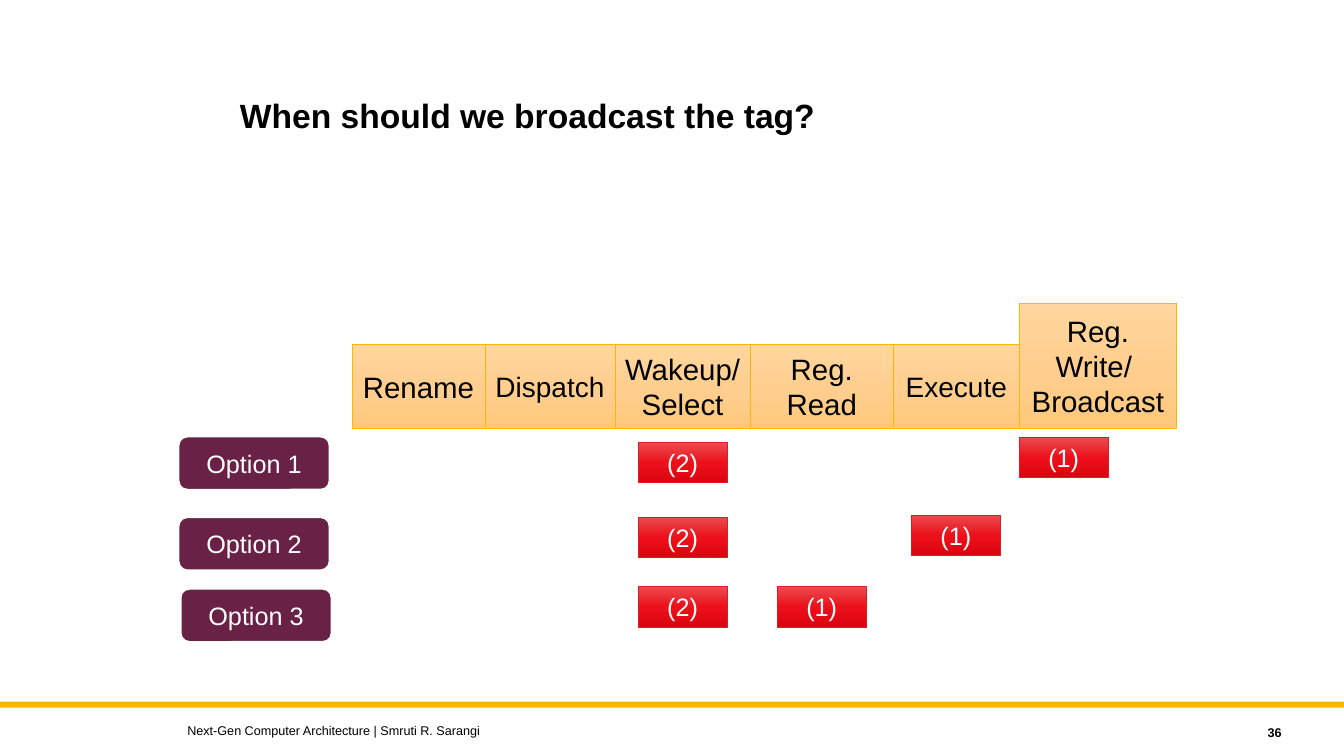
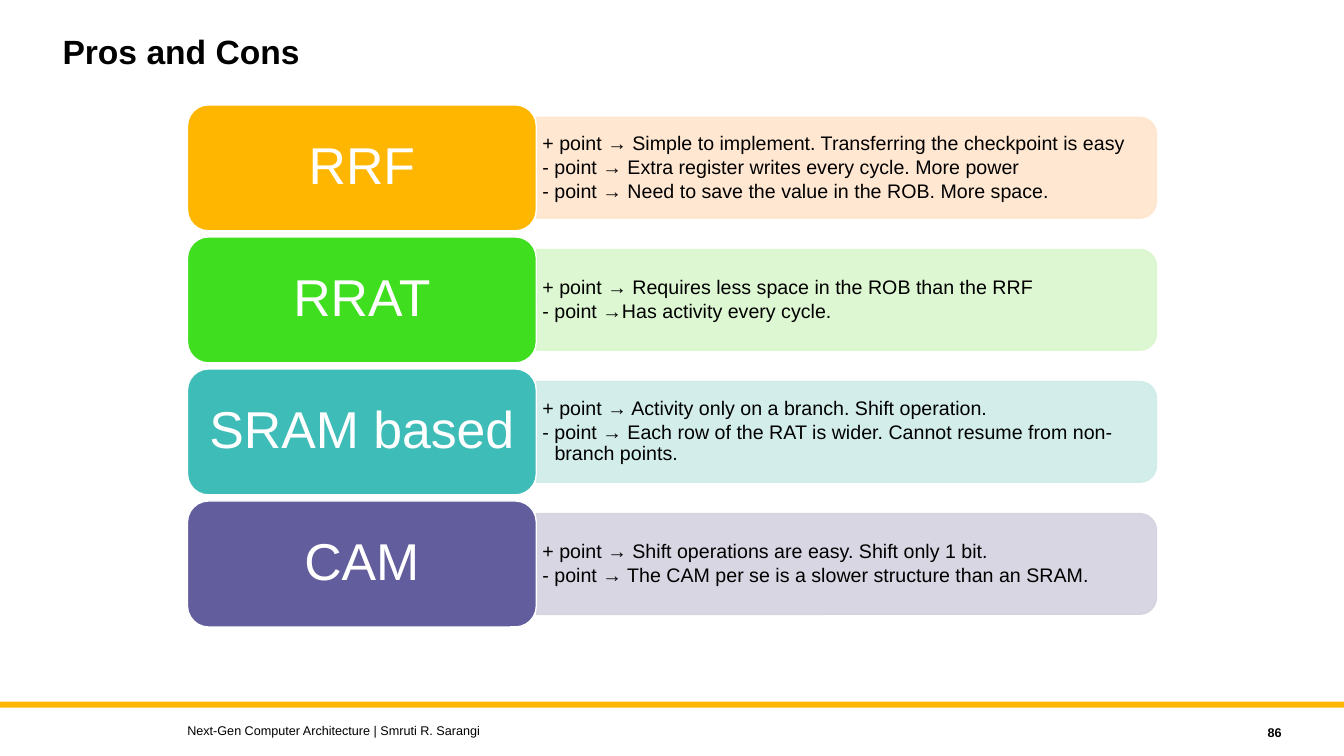
from copy import deepcopy
from dataclasses import dataclass

from lxml.etree import SubElement
from pptx import Presentation
from pptx.dml.color import RGBColor
from pptx.enum.shapes import MSO_SHAPE
from pptx.enum.text import MSO_ANCHOR, MSO_AUTO_SIZE, PP_ALIGN
from pptx.oxml.ns import qn
from pptx.util import Inches, Pt


@dataclass(frozen=True)
class Theme:
    """Colours, font and type sizes shared by the slides."""

    font: str = "Arial"
    dark: str = "000000"
    light: str = "FFFFFF"
    accent: str = "FFB600"
    option: str = "692146"
    tag_line: str = "E21A23"
    stage_gradient: tuple = ("FFD69E", "FFCF90", "FFC97C")
    tag_gradient: tuple = ("E94D50", "EC101A", "DB050F")
    title_size: float = 24
    label_size: float = 37
    tag_size: float = 18
    point_size: float = 14
    footer_size: float = 9
    line_spacing: float = 0.9


THEME = Theme()
SLIDE_WIDTH, SLIDE_HEIGHT = 13.33, 7.5
FOOTER = "Next-Gen Computer Architecture | Smruti R. Sarangi"

STAGES_LEFT, STAGES_BOTTOM = 3.49, 4.25
STAGES = [
    (["Rename"], 1.32, 0.83, 21),
    (["Dispatch"], 1.29, 0.83, 20),
    (["Wakeup/Select"], 1.34, 0.83, 21),
    (["Reg. Read"], 1.42, 0.83, 21),
    (["Execute"], 1.25, 0.83, 20),
    (["Reg. Write/ ", "Broadcast"], 1.56, 1.24, 21),
]
OPTIONS = [
    ("Option 1", (1.77, 4.33), (6.33, 4.39), (10.11, 4.34)),
    ("Option 2", (1.77, 5.13), (6.33, 5.13), (9.04, 5.11)),
    ("Option 3", (1.79, 5.84), (6.33, 5.82), (7.71, 5.82)),
]

SCHEMES_TOP, SCHEME_PITCH = 1.04, 1.31
SCHEMES = [
    ("RRF", "FFB600", "FFE5CC", [
        "+ point → Simple to implement. Transferring the checkpoint is easy",
        "- point → Extra register writes every cycle. More power",
        "- point → Need to save the value in the ROB. More space.",
    ]),
    ("RRAT", "3FDE1F", "D9F7CC", [
        "+ point → Requires less space in the ROB than the RRF",
        "- point →Has activity every cycle.",
    ]),
    ("SRAM based", "3EBCB7", "CEECE8", [
        "+ point → Activity only on a branch. Shift operation.",
        "- point → Each row of the RAT is wider. Cannot resume from non-branch points.",
    ]),
    ("CAM", "625D9C", "D3D2DF", [
        "+ point → Shift operations are easy. Shift only 1 bit.",
        "- point → The CAM per se is a slower structure than an SRAM.",
    ]),
]


def color(value):
    """Turn a hex string into a colour."""
    return RGBColor.from_string(value)


def write(shape, lines, size, ink=THEME.dark, align=PP_ALIGN.LEFT, bold=False,
          anchor=MSO_ANCHOR.MIDDLE, insets=(0.1, 0.05), spacing=1.0):
    """Fill a shape with formatted paragraphs."""
    frame = shape.text_frame
    frame.text = "\n".join(lines)
    frame.word_wrap = True
    frame.auto_size = MSO_AUTO_SIZE.NONE
    frame.vertical_anchor = anchor
    frame.margin_left = frame.margin_right = Inches(insets[0])
    frame.margin_top = frame.margin_bottom = Inches(insets[1])
    for paragraph in frame.paragraphs:
        paragraph.alignment = align
        paragraph.line_spacing = spacing
        for run in paragraph.runs:
            run.font.name = THEME.font
            run.font.size = Pt(size)
            run.font.bold = bold
            run.font.color.rgb = color(ink)


def add_box(slide, kind, left, top, width, height, fill, line=None, line_width=1):
    """Add a preset shape with a solid fill or a gradient of three colours."""
    shape = slide.shapes.add_shape(
        kind, Inches(left), Inches(top), Inches(width), Inches(height))
    shape.shadow.inherit = False
    if isinstance(fill, tuple):
        fill_gradient(shape, fill)
    else:
        shape.fill.solid()
        shape.fill.fore_color.rgb = color(fill)
    if line:
        shape.line.color.rgb = color(line)
        shape.line.width = Pt(line_width)
    else:
        shape.line.fill.background()
    return shape


def fill_gradient(shape, colors):
    """Apply an evenly spaced gradient that runs from top to bottom."""
    shape.fill.gradient()
    shape.fill.gradient_angle = 270
    stop_list = shape._element.spPr.find(".//" + qn("a:gsLst"))
    while len(stop_list) < len(colors):
        stop_list.append(deepcopy(stop_list[0]))
    for index, stop in enumerate(shape.fill.gradient_stops):
        stop.position = index / (len(colors) - 1)
        stop.color.rgb = color(colors[index])


def set_opacity(shape, percent):
    """Make the fill and outline of a shape translucent."""
    for element in list(shape._element.spPr.iter(qn("a:srgbClr"))):
        SubElement(element, qn("a:alpha")).set("val", str(percent * 1000))


def add_text(slide, left, top, width, height, lines, size, **style):
    """Add a text box with formatted paragraphs."""
    box = slide.shapes.add_textbox(
        Inches(left), Inches(top), Inches(width), Inches(height))
    write(box, lines, size, **style)
    return box


def add_slide(presentation, title, place, number):
    """Add a slide with its band, title and footer."""
    slide = presentation.slides.add_slide(presentation.slide_layouts[5])
    add_box(slide, MSO_SHAPE.RECTANGLE, 0, 6.96, SLIDE_WIDTH, 0.06, THEME.accent)
    heading = slide.shapes.title
    heading.left, heading.top, heading.width, heading.height = map(Inches, place)
    write(heading, [title], THEME.title_size, bold=True,
          anchor=MSO_ANCHOR.TOP, spacing=THEME.line_spacing)
    add_text(slide, 11.41, 7.14, 1.4, 0.25, [str(number)], THEME.footer_size,
             align=PP_ALIGN.RIGHT, bold=True)
    add_text(slide, 1.76, 7.12, 8, 0.25, [FOOTER], THEME.footer_size)
    return slide


def add_stages(slide):
    """Draw the pipeline stages side by side on one baseline."""
    left = STAGES_LEFT
    for lines, width, height, size in STAGES:
        stage = add_box(slide, MSO_SHAPE.RECTANGLE, left, STAGES_BOTTOM - height,
                        width, height, THEME.stage_gradient, THEME.accent, 0.5)
        write(stage, lines, size, align=PP_ALIGN.CENTER, insets=(0.07, 0.05))
        left += width


def add_tag(slide, text, place):
    """Draw a red step marker."""
    tag = add_box(slide, MSO_SHAPE.RECTANGLE, *place, 0.88, 0.4,
                  THEME.tag_gradient, THEME.tag_line, 0.5)
    write(tag, [text], THEME.tag_size, THEME.light, PP_ALIGN.CENTER)


def add_option(slide, name, place, wakeup_place, broadcast_place):
    """Draw an option label with its two step markers."""
    label = add_box(slide, MSO_SHAPE.ROUNDED_RECTANGLE, *place, 1.5, 0.53,
                    THEME.option, THEME.light, 1.5)
    write(label, [name], THEME.tag_size, THEME.light, PP_ALIGN.CENTER)
    add_tag(slide, "(2)", wakeup_place)
    add_tag(slide, "(1)", broadcast_place)


def add_scheme(slide, top, name, fill, tint, points):
    """Draw a scheme label and the panel listing its pros and cons."""
    label_left, label_width, label_height = 1.86, 3.46, 1.25
    panel_left, panel_width, panel_height = label_left + label_width, 6.15, 1
    middle = top + label_height / 2
    panel = add_box(slide, MSO_SHAPE.ROUND_2_SAME_RECTANGLE,
                    panel_left + (panel_width - panel_height) / 2,
                    middle - panel_width / 2, panel_height, panel_width, tint, tint)
    panel.rotation = 90
    set_opacity(panel, 90)
    box = add_text(slide, panel_left, middle - 0.45, 6.1, 0.9, points,
                   THEME.point_size, insets=(0.06, 0.03), spacing=THEME.line_spacing)
    for paragraph in box.text_frame.paragraphs:
        paragraph.space_after = Pt(2.1)
        properties = paragraph._p.get_or_add_pPr()
        properties.set("marL", str(Inches(0.12)))
        properties.set("indent", str(-Inches(0.12)))
    label = add_box(slide, MSO_SHAPE.ROUNDED_RECTANGLE, label_left, top,
                    label_width, label_height, fill, THEME.light)
    write(label, [name], THEME.label_size, THEME.light, PP_ALIGN.CENTER,
          spacing=THEME.line_spacing)


def build_broadcast_slide(presentation):
    """Build the slide on when to broadcast the tag."""
    slide = add_slide(presentation, "When should we broadcast the tag?",
                      (2.28, 0.94, 8.62, 1.09), 36)
    add_stages(slide)
    for option in OPTIONS:
        add_option(slide, *option)


def build_comparison_slide(presentation):
    """Build the slide comparing the schemes."""
    slide = add_slide(presentation, "Pros and Cons", (0.52, 0.3, 10, 0.9), 86)
    for index, scheme in enumerate(SCHEMES):
        add_scheme(slide, SCHEMES_TOP + index * SCHEME_PITCH, *scheme)


def main():
    """Build and save the presentation."""
    presentation = Presentation()
    presentation.slide_width = Inches(SLIDE_WIDTH)
    presentation.slide_height = Inches(SLIDE_HEIGHT)
    build_broadcast_slide(presentation)
    build_comparison_slide(presentation)
    presentation.save("out.pptx")


if __name__ == "__main__":
    main()
